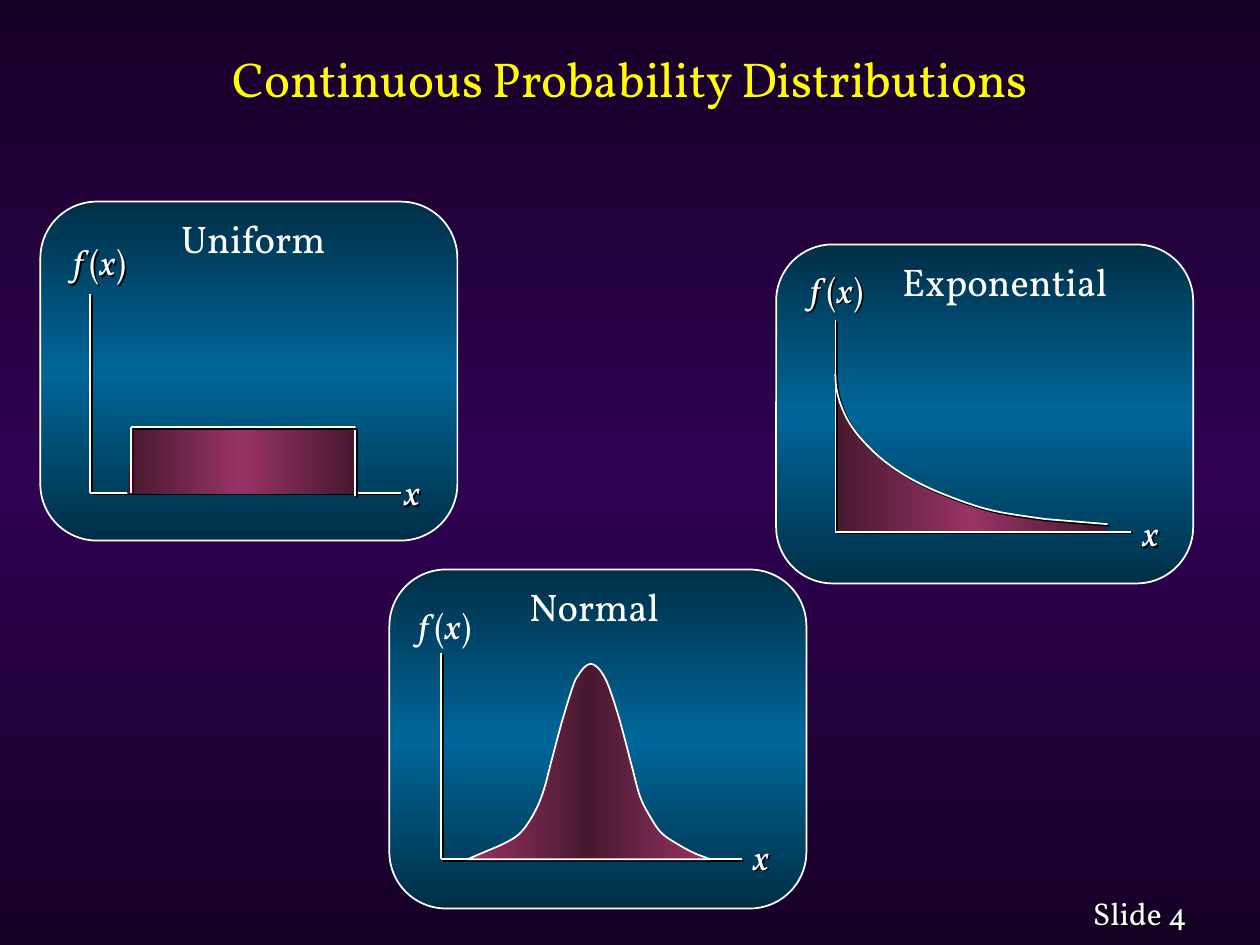
from copy import deepcopy

from lxml import etree
from pptx import Presentation
from pptx.dml.color import RGBColor
from pptx.enum.shapes import MSO_CONNECTOR, MSO_SHAPE
from pptx.enum.text import MSO_ANCHOR, MSO_AUTO_SIZE, PP_ALIGN
from pptx.oxml.ns import qn
from pptx.util import Inches, Pt

STRAIGHT = MSO_CONNECTOR.STRAIGHT
ROUNDED = MSO_SHAPE.ROUNDED_RECTANGLE
LEFT, CENTER, RIGHT = PP_ALIGN.LEFT, PP_ALIGN.CENTER, PP_ALIGN.RIGHT
MIDDLE = MSO_ANCHOR.MIDDLE
FIT_SHAPE = MSO_AUTO_SIZE.SHAPE_TO_FIT_TEXT

COLUMNS, ROWS = 100, 75
PANEL_WIDTH, PANEL_HEIGHT = 33.1, 26.9
HEADING_WIDTH = 18.4
FONT = "Vollkorn"
WHITE, YELLOW, BLACK = "FFFFFF", "FFFF00", "000000"
NIGHT, PURPLE = "160026", "300153"
NAVY, BLUE = "002F47", "006699"
WINE, PINK = "47182F", "993366"
DENSITY_LABEL = [("f ", True), ("(", False), ("x", True), (")", False)]

BELL = [(6.2, 23), (7.6, 22.4), (9.2, 21.7), (10.4, 20.9), (11.4, 19.5),
        (12.2, 17.7), (12.9, 15.1), (13.7, 12.1), (14.6, 9.2), (15, 8.4),
        (15.5, 7.75), (16, 7.5), (16.5, 7.75), (17, 8.4), (17.5, 9.5),
        (18.3, 12), (19.2, 15.4), (19.9, 18), (20.7, 19.6), (21.6, 20.9),
        (22.9, 21.8), (24.2, 22.5), (25.5, 23)]
DECAY = [(4.7, 10.3), (4.8, 11.5), (5.2, 12.9), (5.9, 14.3), (7, 15.7),
         (8.6, 17.2), (10.7, 18.6), (13.5, 19.9), (17.1, 21.1), (21.4, 21.8)]


def color(value):
    return RGBColor.from_string(value)


def smooth_curve(knots, steps=6):
    padded = [knots[0], *knots, knots[-1]]
    points = []
    for a, b, c, d in zip(padded, padded[1:], padded[2:], padded[3:]):
        for step in range(steps):
            t = step / steps
            points.append(tuple(
                (2 * q + (r - p) * t + (2 * p - 5 * q + 4 * r - s) * t ** 2
                 + (3 * q - p - 3 * r + s) * t ** 3) / 2
                for p, q, r, s in zip(a, b, c, d)))
    return points + [knots[-1]]


def add_shadow(shape, shade=BLACK):
    properties = shape.element.spPr
    effects = properties.find(qn("a:effectLst"))
    if effects is None:
        effects = etree.SubElement(properties, qn("a:effectLst"))
    shadow = etree.SubElement(effects, qn("a:outerShdw"), dist="17780",
                              dir="2700000", algn="ctr", rotWithShape="0")
    etree.SubElement(shadow, qn("a:srgbClr"), val=shade)


def apply_gradient(fill, element, edge, middle, angle):
    fill.gradient()
    fill.gradient_angle = angle
    for stop in fill.gradient_stops:
        stop.color.rgb = color(edge)
    stops = element.find(".//" + qn("a:gsLst"))
    center = deepcopy(stops[0])
    center.set("pos", "50000")
    center[0].set("val", middle)
    stops.insert(1, center)


def write_text(frame, runs, size=20, shade=WHITE, align=LEFT):
    paragraph = frame.paragraphs[0]
    paragraph.alignment = align
    for text, italic in runs:
        run = paragraph.add_run()
        run.text = text
        run.font.size = Pt(size)
        run.font.italic = italic
        run.font.color.rgb = color(shade)
        run.font.name = FONT


class DistributionSlide:
    def __init__(self, presentation):
        self.column = presentation.slide_width / COLUMNS
        self.row = presentation.slide_height / ROWS
        self.slide = presentation.slides.add_slide(presentation.slide_layouts[5])
        self.shapes = self.slide.shapes
        self.origin = (0, 0)
        apply_gradient(self.slide.background.fill, self.slide.element,
                       NIGHT, PURPLE, 270)

    def point(self, x, y):
        return (round((self.origin[0] + x) * self.column),
                round((self.origin[1] + y) * self.row))

    def size(self, width, height):
        return round(width * self.column), round(height * self.row)

    def title(self, text, x, y, width, height):
        title = self.slide.shapes.title
        title.left, title.top = self.point(x, y)
        title.width, title.height = self.size(width, height)
        title.text_frame.vertical_anchor = MIDDLE
        write_text(title.text_frame, [(text, False)], 28, YELLOW, CENTER)

    def label(self, runs, x, y, width, height, shadow=False, **style):
        box = self.shapes.add_textbox(*self.point(x, y), *self.size(width, height))
        box.text_frame.word_wrap = False
        box.text_frame.auto_size = FIT_SHAPE
        write_text(box.text_frame, runs, **style)
        if shadow:
            add_shadow(box)

    def panel(self, heading, x, y, center, density_at, variable_at, shadow=True):
        self.shapes = self.slide.shapes.add_group_shape().shapes
        self.origin = (x, y)
        card = self.shapes.add_shape(ROUNDED, *self.point(0, 0),
                                     *self.size(PANEL_WIDTH, PANEL_HEIGHT))
        card.shadow.inherit = False
        apply_gradient(card.fill, card.element, NAVY, BLUE, 270)
        card.line.color.rgb = color(WHITE)
        card.line.width = Pt(1)
        self.label([(heading, False)], center - HEADING_WIDTH / 2, 0.6,
                   HEADING_WIDTH, 4.7, size=22, align=CENTER)
        self.label(DENSITY_LABEL, *density_at, 6.7, 4.3, shadow=shadow)
        self.label([("x", True)], *variable_at, 3.4, 4.3, shadow=True)

    def line(self, start, end, shade=BLACK):
        line = self.shapes.add_connector(STRAIGHT, *self.point(*start),
                                         *self.point(*end))
        line.line.color.rgb = color(WHITE)
        line.line.width = Pt(1)
        add_shadow(line, shade)

    def axes(self, x, y, top, right):
        self.line((x, top), (x, y))
        self.line((x, y), (right, y))

    def outline(self, points, gradient=None, stroke=False, closed=True):
        start, *others = [self.point(*point) for point in points]
        builder = self.shapes.build_freeform(*start)
        builder.add_line_segments(others, close=closed)
        shape = builder.convert_to_shape()
        shape.shadow.inherit = False
        if gradient:
            apply_gradient(shape.fill, shape.element, *gradient, 0)
        else:
            shape.fill.background()
        if stroke:
            shape.line.color.rgb = color(WHITE)
            shape.line.width = Pt(1)
        else:
            shape.line.fill.background()
        if not closed:
            add_shadow(shape)


def main():
    presentation = Presentation()
    presentation.slide_width, presentation.slide_height = Inches(10), Inches(7.5)
    page = DistributionSlide(presentation)
    page.title("Continuous Probability Distributions", 7.5, 1.7, 85, 8.9)
    page.label([("Slide 4", False)], 80.2, 70.5, 15, 4,
               size=18, align=RIGHT, shadow=True)

    page.panel("Uniform", 3.2, 16, 16.9, (1.6, 2.6), (27.9, 20.85))
    page.axes(3.95, 23.1, 7.3, 28.6)
    page.outline([(6.9, 23.2), (7.3, 17.9), (25, 17.9), (25, 23.2)], (WINE, PINK))
    page.line((25, 17.9), (25, 23.4))
    page.line((7.2, 17.9), (25, 17.9))
    page.line((7.2, 17.9), (7.2, 23.1), "3C0023")

    page.panel("Normal", 30.9, 45.2, 16.25, (1.3, 2.3), (27.9, 20.6), shadow=False)
    page.axes(4.1, 23, 6.6, 28)
    page.outline(smooth_curve(BELL), (PINK, WINE), stroke=True)

    page.panel("Exponential", 61.6, 19.4, 18.15, (1.7, 1.4), (28.1, 20.7))
    decay = smooth_curve(DECAY)
    page.outline(decay + [(26.3, 22.2), (26.3, 22.8), (4.7, 22.8)], (WINE, PINK))
    page.axes(4.7, 22.8, 6, 28.2)
    page.line(DECAY[-1], (26.3, 22.2))
    page.outline(decay, stroke=True, closed=False)

    presentation.save("out.pptx")


if __name__ == "__main__":
    main()
